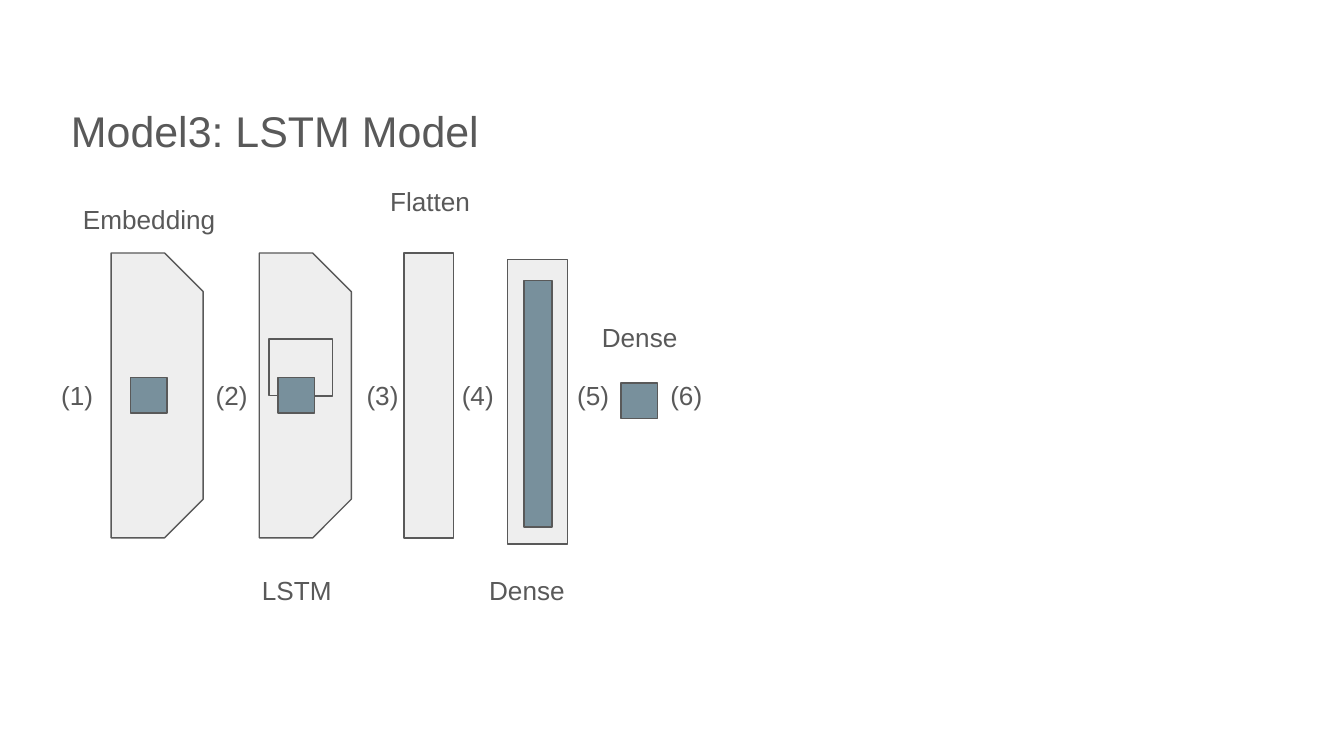
from dataclasses import dataclass

from lxml.etree import SubElement
from pptx import Presentation
from pptx.dml.color import RGBColor
from pptx.enum.shapes import MSO_CONNECTOR, MSO_SHAPE
from pptx.enum.text import MSO_ANCHOR, MSO_AUTO_SIZE, PP_ALIGN
from pptx.oxml.ns import qn
from pptx.util import Cm, Pt


@dataclass(frozen=True)
class Theme:
    """Colours, font and sizes used on the slide."""
    ink: RGBColor = RGBColor(0x59, 0x59, 0x59)
    panel: RGBColor = RGBColor(0xEE, 0xEE, 0xEE)
    unit: RGBColor = RGBColor(0x78, 0x90, 0x9C)
    font: str = "Arial"
    title_size: int = 23
    label_size: int = 14
    line_width: float = 0.75


def write_text(shape, text, *, size, color, font, align=PP_ALIGN.LEFT,
               spacing=1.0, auto_size=MSO_AUTO_SIZE.NONE):
    """Fill a shape with one formatted paragraph."""
    frame = shape.text_frame
    frame.word_wrap = True
    frame.auto_size = auto_size
    frame.vertical_anchor = MSO_ANCHOR.TOP
    frame.margin_left = frame.margin_right = Cm(0.25)
    frame.margin_top = frame.margin_bottom = Cm(0.25)
    paragraph = frame.paragraphs[0]
    paragraph.alignment = align
    paragraph.line_spacing = spacing
    paragraph.space_before = Pt(0)
    run = paragraph.add_run()
    run.text = text
    run.font.size = Pt(size)
    run.font.name = font
    run.font.color.rgb = color


class Diagram:
    """Draws network layers on one slide; positions are centres in cm."""

    def __init__(self, slide, theme):
        """Keep the slide and its style."""
        self.slide = slide
        self.theme = theme

    def title(self, text, left, top, width, height):
        """Place the title placeholder."""
        shape = self.slide.shapes.title
        shape.left, shape.top = Cm(left), Cm(top)
        shape.width, shape.height = Cm(width), Cm(height)
        write_text(shape, text, size=self.theme.title_size, spacing=1.08,
                   color=self.theme.ink, font=self.theme.font)

    def box(self, x, y, width, height, fill, kind=MSO_SHAPE.RECTANGLE):
        """Add an outlined shape centred on a point."""
        shape = self.slide.shapes.add_shape(
            kind, Cm(x - width / 2), Cm(y - height / 2), Cm(width), Cm(height))
        shape.shadow.inherit = False
        shape.fill.solid()
        shape.fill.fore_color.rgb = fill
        shape.line.color.rgb = self.theme.ink
        shape.line.width = Pt(self.theme.line_width)
        return shape

    def panel(self, x, y, thickness, snip=0):
        """Add an upright layer panel, with its right corners cut by snip."""
        shape = self.box(x, y, 5.38, thickness, self.theme.panel,
                         MSO_SHAPE.SNIP_2_SAME_RECTANGLE)
        shape.rotation = 90
        shape.adjustments[0] = snip
        shape.adjustments[1] = 0

    def unit(self, x, y, width=0.69, height=0.67):
        """Add a coloured unit."""
        return self.box(x, y, width, height, self.theme.unit)

    def loop(self, unit):
        """Lead a line from the right side of a unit back to its left side."""
        connector = self.slide.shapes.add_connector(
            MSO_CONNECTOR.ELBOW, unit.left + unit.width, unit.top,
            unit.left, unit.top)
        connector.begin_connect(unit, 3)
        connector.end_connect(unit, 1)
        connector.height = Cm(0.01)
        connector.line.color.rgb = self.theme.ink
        connector.line.width = Pt(self.theme.line_width)
        properties = connector._element.spPr
        geometry = properties.find(qn("a:prstGeom"))
        geometry.set("prst", "bentConnector5")
        guides = geometry.find(qn("a:avLst"))
        if guides is None:
            guides = SubElement(geometry, qn("a:avLst"))
        for number, value in enumerate((-49200, 10720000, 124200), start=1):
            SubElement(guides, qn("a:gd"), name=f"adj{number}", fmla=f"val {value}")
        SubElement(properties, qn("a:effectLst"))

    def label(self, text, x, y, width):
        """Add a centred label."""
        height = 1.11
        shape = self.slide.shapes.add_textbox(
            Cm(x - width / 2), Cm(y - height / 2), Cm(width), Cm(height))
        write_text(shape, text, size=self.theme.label_size,
                   color=self.theme.ink, font=self.theme.font,
                   align=PP_ALIGN.CENTER,
                   auto_size=MSO_AUTO_SIZE.SHAPE_TO_FIT_TEXT)


def build():
    """Build and save the slide."""
    presentation = Presentation()
    presentation.slide_width, presentation.slide_height = Cm(25.4), Cm(14.28)
    slide = presentation.slides.add_slide(presentation.slide_layouts[5])
    diagram = Diagram(slide, Theme())
    middle, bottom = 7.47, 11.15

    diagram.title("Model3: LSTM Model", 1.09, 1.65, 23.67, 2.21)

    diagram.panel(10.16, 7.59, 1.13)
    diagram.unit(10.17, 7.63, 0.53, 4.65)
    for panel_x, unit_x in ((2.97, 2.81), (5.77, 5.6)):
        diagram.panel(panel_x, middle, 1.74, snip=0.42)
        unit = diagram.unit(unit_x, middle)
    diagram.loop(unit)
    diagram.panel(8.1, middle, 0.93)
    diagram.unit(12.08, 7.57)

    for number, x in enumerate((1.46, 4.38, 7.23, 9.03, 11.21, 12.97), start=1):
        diagram.label(f"({number})", x, middle, 1.35)
    for name, x, y in (("Embedding", 2.82, 4.14), ("LSTM", 5.61, bottom),
                       ("Flatten", 8.13, 3.81), ("Dense", 9.96, bottom),
                       ("Dense", 12.09, 6.38)):
        diagram.label(name, x, y, 3.51)

    presentation.save("out.pptx")


build()
